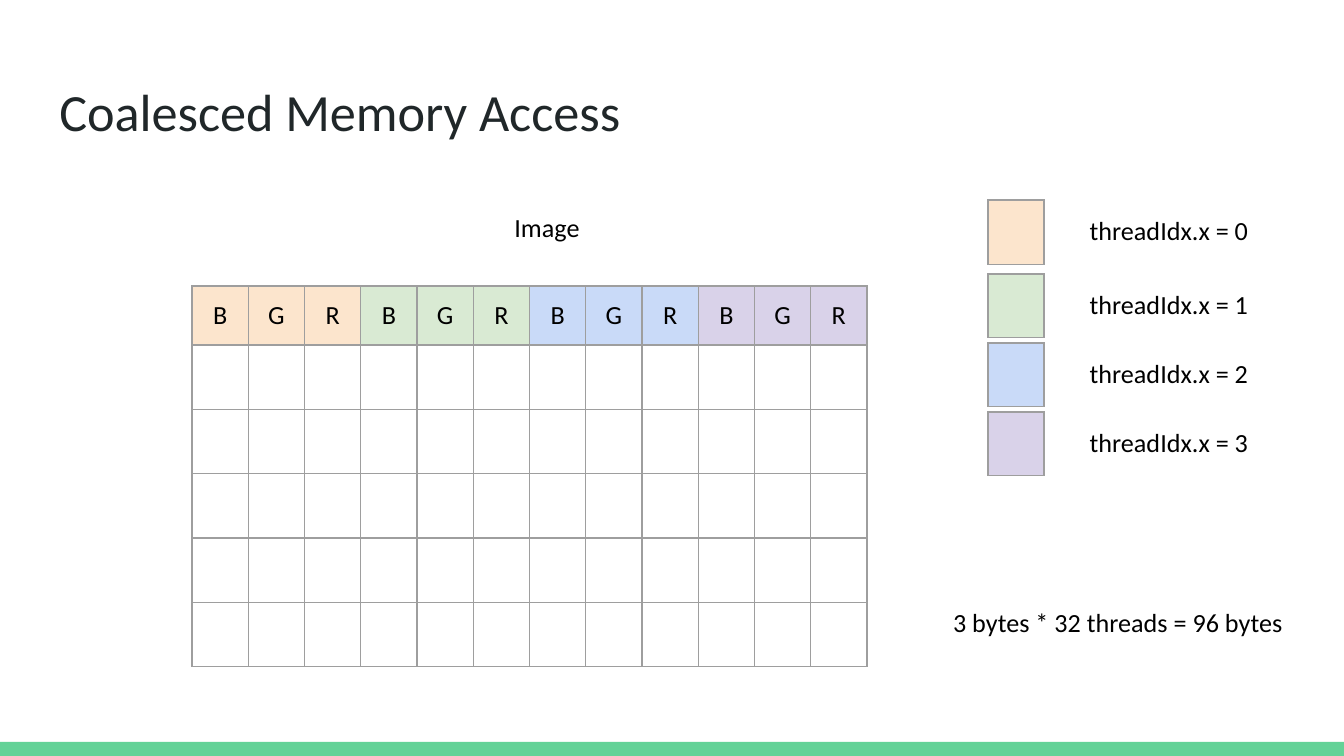
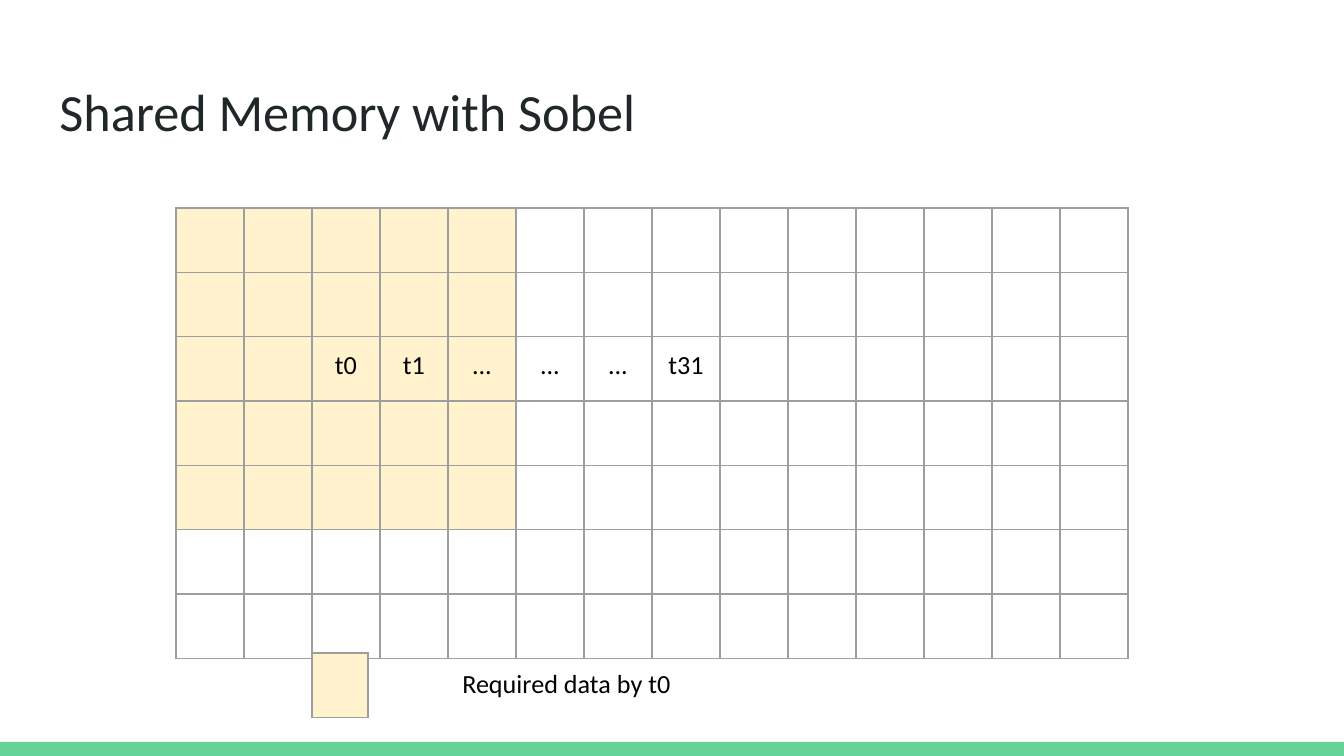
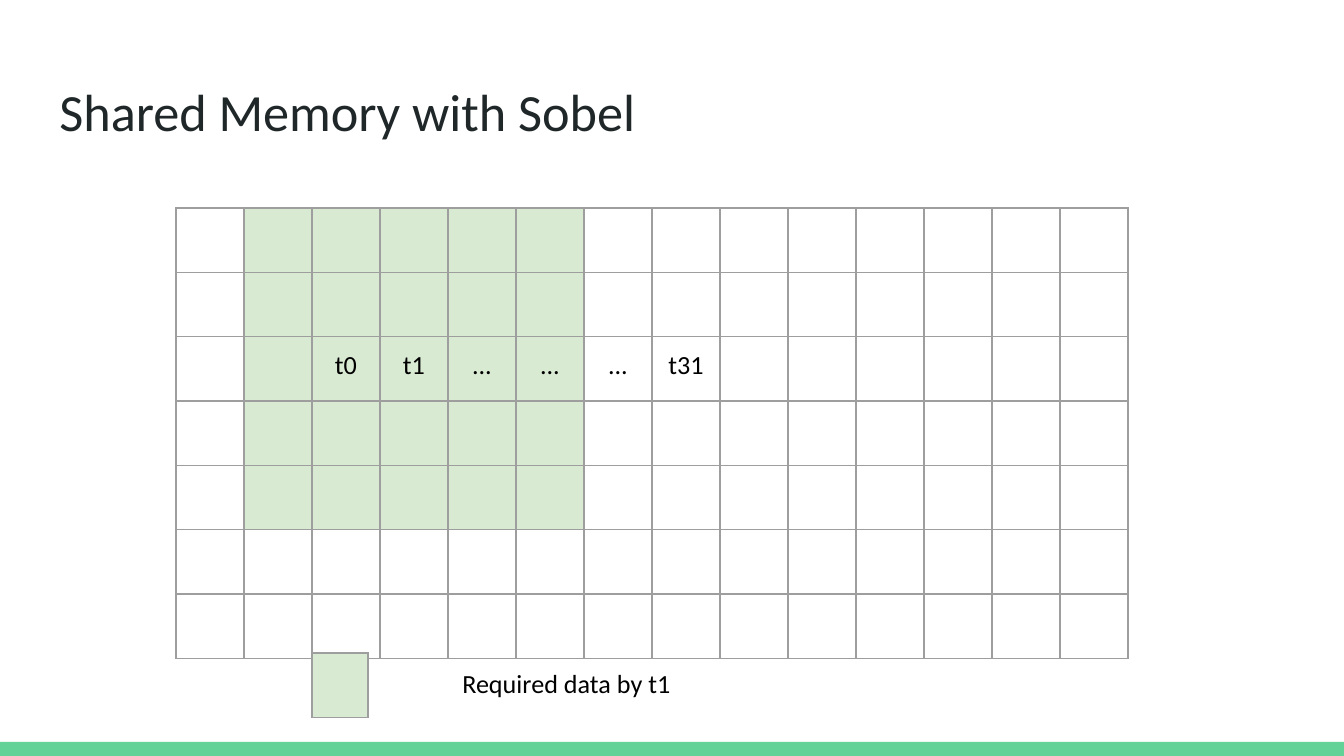
"""Build three slides on coalesced and shared memory access."""
import pptx
import pptx.dml.color
import pptx.enum.shapes
import pptx.enum.text
import pptx.oxml
import pptx.oxml.ns
import pptx.util
from lxml import etree

FONT = "Calibri"
INK, BLACK, GREEN, GRID = "202729", "000000", "63D297", "9E9E9E"
PEACH, MINT, SKY, LILAC, CREAM = "FCE5CD", "D9EAD3", "C9DAF8", "D9D2E9", "FFF2CC"
ANCHOR = pptx.enum.text.MSO_ANCHOR
ALIGN = pptx.enum.text.PP_ALIGN
PAD = pptx.util.Inches(0.1)
INSETS = dict.fromkeys(("margin_left", "margin_right", "margin_top", "margin_bottom"), PAD)

THREADS = [(200, PEACH), (274, MINT), (343, SKY), (412, LILAC)]
NOTES = [("Image", 414, 180, 266, 94),
         ("3 bytes * 32 threads = 96 bytes", 925, 585, 386, 74)]
SOBEL = [("Required data by t0", 0, CREAM), ("Required data by t1", 1, MINT)]
LANES = ["t0", "t1", "...", "...", "...", "t31"]
WINDOW = 5


def px(num):
    return pptx.util.Emu(round(num * 914400 / 134.4))


def rgb(code):
    return pptx.dml.color.RGBColor.from_string(code)


def put(part, vals):
    for name, val in vals.items():
        setattr(part, name, val)


def write(frame, text, size=14, hue=BLACK, align=ALIGN.CENTER):
    frame.text = text
    line = frame.paragraphs[0]
    line.alignment = align
    font = line.runs[0].font
    put(font, {"name": FONT, "size": pptx.util.Pt(size), "bold": False})
    font.color.rgb = rgb(hue)


def label(slide, text, *box):
    frame = slide.shapes.add_textbox(*map(px, box)).text_frame
    put(frame, {"word_wrap": True, "vertical_anchor": ANCHOR.MIDDLE, **INSETS})
    write(frame, text)


def edge(cell):
    props = cell._tc.get_or_add_tcPr()
    space = pptx.oxml.ns.nsdecls("a")
    for side in "LRTB":
        props.append(pptx.oxml.parse_xml(
            f'<a:ln{side} {space} w="9525"><a:solidFill><a:srgbClr val="{GRID}"/>'
            f'</a:solidFill></a:ln{side}>'))


def blank(cell):
    """Set the type that gives an empty cell its least height."""
    line = cell.text_frame.paragraphs[0]._p
    mark = etree.SubElement(line, pptx.oxml.ns.qn("a:endParaRPr"), sz="1650")
    etree.SubElement(mark, pptx.oxml.ns.qn("a:latin"), typeface=FONT)


def grid(slide, left, top, wide, cols, rows, words, fills, anchor=ANCHOR.TOP):
    """Draw a table; words and fills are keyed by row and column."""
    box = map(px, (left, top, wide, sum(rows)))
    table = slide.shapes.add_table(len(rows), cols, *box).table
    put(table, {"first_row": False, "horz_banding": False})
    for col in table.columns:
        col.width = px(wide / cols)
    for r, high in enumerate(rows):
        table.rows[r].height = px(high)
        for c in range(cols):
            cell = table.cell(r, c)
            put(cell, {"vertical_anchor": anchor, **INSETS})
            edge(cell)
            if (r, c) in fills:
                cell.fill.solid()
                cell.fill.fore_color.rgb = rgb(fills[r, c])
            else:
                cell.fill.background()
            if (r, c) in words:
                write(cell.text_frame, words[r, c])
            else:
                blank(cell)


def key(slide, left, top, hue, text, start, wide):
    grid(slide, left, top, 56, 1, [56], {}, {(0, 0): hue})
    label(slide, text, start, top + 5, wide, 50)


def start(deck, text):
    slide = deck.slides.add_slide(deck.slide_layouts[5])
    title = slide.shapes.title
    put(title, {"left": px(46), "top": px(66), "width": px(1252), "height": px(85)})
    put(title.text_frame, {"word_wrap": True, "vertical_anchor": ANCHOR.TOP,
                           "auto_size": pptx.enum.text.MSO_AUTO_SIZE.NONE, **INSETS})
    write(title.text_frame, text, 28, INK, ALIGN.LEFT)
    return slide


def band(slide):
    """Draw the foot band and hand it to the shared layout."""
    bar = slide.shapes.add_shape(pptx.enum.shapes.MSO_SHAPE.RECTANGLE,
                                 *map(px, (0, 742, 1344, 14)))
    bar.shadow.inherit = False
    bar.fill.solid()
    bar.fill.fore_color.rgb = rgb(GREEN)
    bar.line.fill.background()
    slide.slide_layout.shapes._spTree.append(bar._element)


def access(deck):
    slide = start(deck, "Coalesced Memory Access")
    band(slide)
    words = {(0, c): "BGR"[c % 3] for c in range(12)}
    fills = {(0, c): THREADS[c // 3][1] for c in range(12)}
    grid(slide, 192, 286, 675, 12, [59] * 6, words, fills, ANCHOR.MIDDLE)
    for num, (top, hue) in enumerate(THREADS):
        key(slide, 988, top, hue, f"threadIdx.x = {num}", 1058, 222)
    for note in NOTES:
        label(slide, *note)


def sobel(deck, text, first, hue):
    slide = start(deck, "Shared Memory with Sobel")
    words = {(2, c): lane for c, lane in enumerate(LANES, 2)}
    fills = {(r, first + c): hue for r in range(WINDOW) for c in range(WINDOW)}
    grid(slide, 176, 208, 952, 14, [60] * 6 + [63], words, fills)
    key(slide, 312, 653, hue, text, 392, 349)


def main():
    deck = pptx.Presentation()
    put(deck, {"slide_width": px(1344), "slide_height": px(756)})
    access(deck)
    for case in SOBEL:
        sobel(deck, *case)
    deck.save("out.pptx")


if __name__ == "__main__":
    main()
